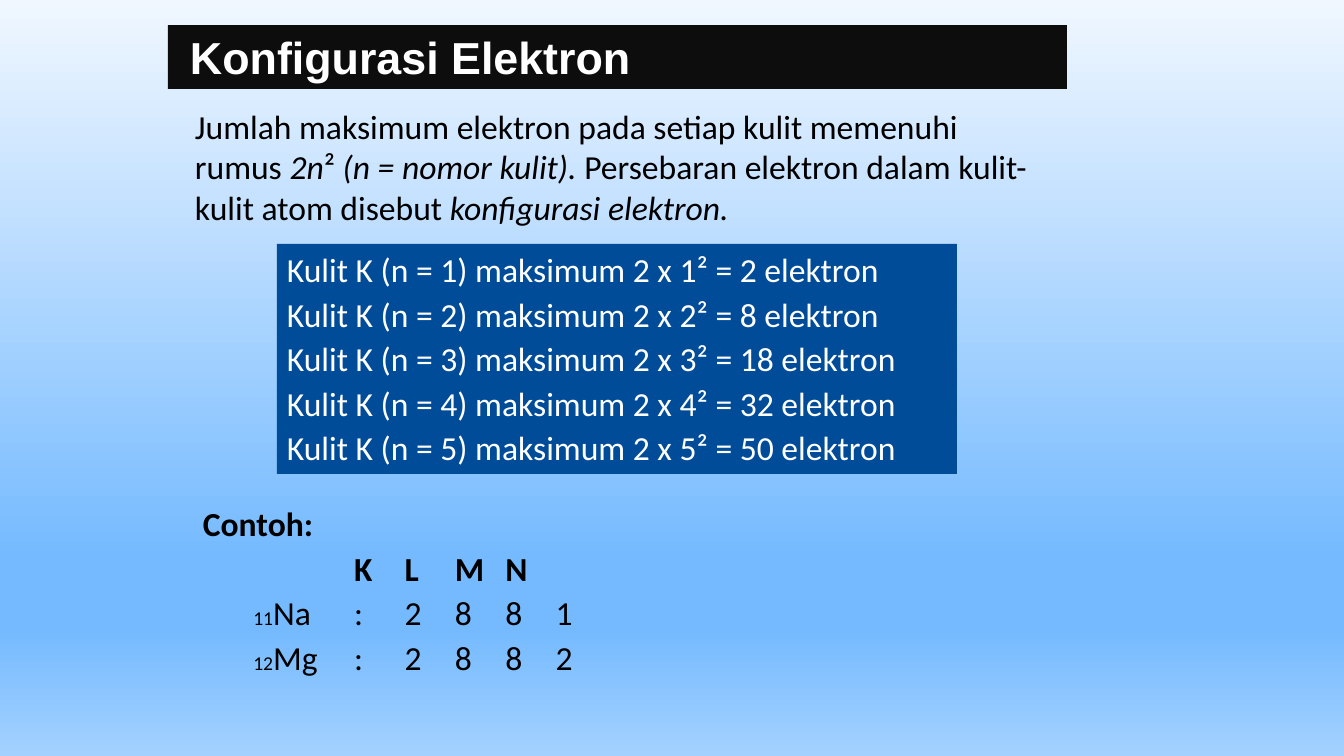
from lxml import etree
from pptx import Presentation
from pptx import util as u
from pptx.dml.color import RGBColor
from pptx.enum import shapes, text
from pptx.oxml import ns

SCALE = 914400 / 100.8
BLACK = RGBColor(0x00, 0x00, 0x00)
WHITE = RGBColor(0xFF, 0xFF, 0xFF)
TITLE_FILL = RGBColor(0x0D, 0x0D, 0x0D)
SHELL_FILL = RGBColor(0x00, 0x4C, 0x99)
SKY_PALE = RGBColor(0xF0, 0xF7, 0xFF)
SKY_DEEP = RGBColor(0x75, 0xBA, 0xFF)
SKY_SOFT = RGBColor(0xA3, 0xD1, 0xFF)
SKY_STOPS = [(0, SKY_PALE), (74, SKY_DEEP), (83, SKY_DEEP), (100, SKY_SOFT)]


def px(n):
    return u.Emu(round(n * SCALE))


def paint_background(s):
    fill = s.background.fill
    fill.gradient()
    fill.gradient_angle = 270
    stops = s.background._cSld.find(".//" + ns.qn("a:gsLst"))
    for old in list(stops):
        stops.remove(old)
    for pos, color in SKY_STOPS:
        stop = etree.SubElement(stops, ns.qn("a:gs"), pos=str(pos * 1000))
        etree.SubElement(stop, ns.qn("a:srgbClr"), val=str(color))


def add_panel(s, x, y, w, h, color):
    sp = s.shapes.add_shape(shapes.MSO_SHAPE.RECTANGLE, px(x), px(y), px(w), px(h))
    sp.shadow.inherit = False
    sp.fill.solid()
    sp.fill.fore_color.rgb = color
    sp.line.fill.background()
    return sp.text_frame


def add_text_box(s, x, y, w, h):
    return s.shapes.add_textbox(px(x), px(y), px(w), px(h)).text_frame


def write(tf, paragraphs, color, font="Calibri", size=24, bold=None, before=3):
    tf.word_wrap = True
    tf.vertical_anchor = text.MSO_ANCHOR.TOP
    for i, runs in enumerate(paragraphs):
        p = tf.paragraphs[0] if i == 0 else tf.add_paragraph()
        p.alignment = text.PP_ALIGN.LEFT
        p.space_before = u.Pt(before)
        p.font.name, p.font.size, p.font.bold = font, u.Pt(size), bold
        p.font.color.rgb = color
        for words, style in runs:
            r = p.add_run()
            r.text = words
            r.font.name = font
            r.font.size = u.Pt(style.get("size", size))
            r.font.bold = style.get("bold", bold)
            r.font.italic = style.get("italic")
            r.font.color.rgb = color


def element_row(number, symbol, electrons):
    cells = [symbol, ":", *map(str, electrons)]
    return [("\t", {}), (str(number), {"size": 14}), ("\t".join(cells), {})]


def main():
    prs = Presentation()
    prs.slide_width, prs.slide_height = px(1344), px(756)
    s = prs.slides.add_slide(prs.slide_layouts[6])
    paint_background(s)

    title = add_panel(s, 168, 25, 899, 64, TITLE_FILL)
    title.margin_left = px(22)
    write(title, [[("Konfigurasi Elektron", {})]], WHITE, "Arial", 32, True, 0)

    italic = {"italic": True}
    rule = [
        ("Jumlah maksimum elektron pada setiap kulit memenuhi rumus ", {}),
        ("2n", italic),
        ("² ", {}),
        ("(n = nomor kulit). ", italic),
        ("Persebaran elektron dalam kulit-kulit atom disebut ", {}),
        ("konfigurasi elektron.", italic),
    ]
    write(add_text_box(s, 185, 101, 865, 132), [rule], BLACK)

    shells = [
        [(f"Kulit K (n = {n}) maksimum 2 x {n}² = {2 * n * n} elektron", {})]
        for n in range(1, 6)
    ]
    write(add_panel(s, 277, 244, 680, 230, SHELL_FILL), shells, WHITE)

    bold = {"bold": True}
    example = [
        [("Contoh:", bold)],
        [("\t\t\t" + "\t".join("KLMN"), bold)],
        element_row(11, "Na", [2, 8, 8, 1]),
        element_row(12, "Mg", [2, 8, 8, 2]),
    ]
    write(add_text_box(s, 193, 498, 865, 185), example, BLACK)

    prs.save("out.pptx")


main()
